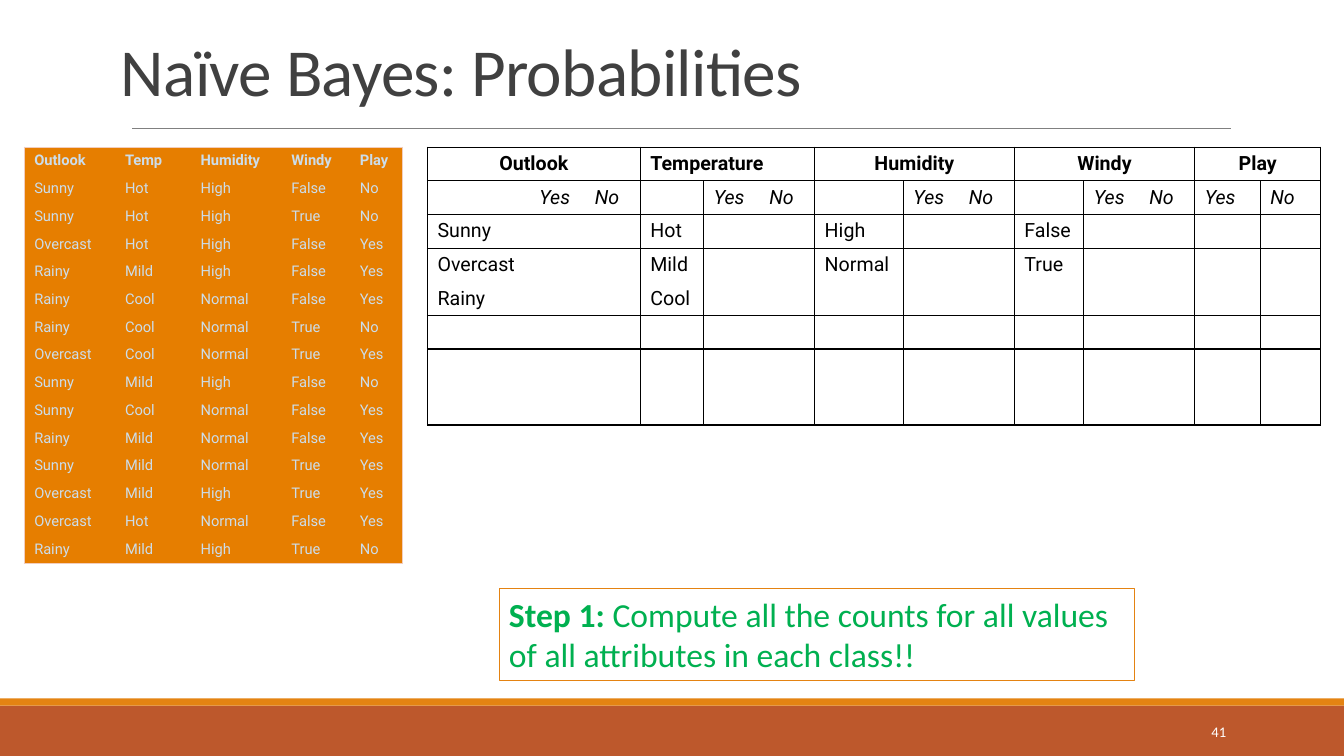
from lxml.etree import SubElement
from pptx import Presentation
from pptx.dml.color import RGBColor
from pptx.enum.shapes import MSO_CONNECTOR, MSO_SHAPE
from pptx.enum.text import MSO_ANCHOR, PP_ALIGN
from pptx.oxml.ns import qn
from pptx.util import Inches, Pt

WIDTH, HEIGHT = 13.33, 7.5
COLORS = {
    "footer": "BD582C", "accent": "E48312", "rule": "808080",
    "title": "404040", "white": "FFFFFF", "black": "000000",
    "data_fill": "E67E00", "data_text": "CCDDEA", "data_edge": "F2CDBD",
    "step": "00B050",
}
NO_STYLE = "{2D5ABB26-0587-4C30-8999-92F81FD0307C}"

WEATHER = """Outlook Temp Humidity Windy Play
Sunny Hot High False No
Sunny Hot High True No
Overcast Hot High False Yes
Rainy Mild High False Yes
Rainy Cool Normal False Yes
Rainy Cool Normal True No
Overcast Cool Normal True Yes
Sunny Mild High False No
Sunny Cool Normal False Yes
Rainy Mild Normal False Yes
Sunny Mild Normal True Yes
Overcast Mild High True Yes
Overcast Hot Normal False Yes
Rainy Mild High True No"""
WEATHER_COLUMNS = [0.9, 0.75, 0.9, 0.68, 0.52]

# Heading, column widths, attribute values
COUNT_GROUPS = [
    ("Outlook", [1.01, 0.55, 0.55], ["Sunny", "Overcast", "Rainy"]),
    ("Temperature", [0.63, 0.55, 0.55], ["Hot", "Mild", "Cool"]),
    ("Humidity", [0.88, 0.55, 0.55], ["High", "Normal"]),
    ("Windy", [0.69, 0.55, 0.55], ["False", "True"]),
    ("Play", [0.65, 0.6], []),
]
COUNT_ROWS = [0.33] * 7 + [0.42]
COUNT_BAND_TOPS, COUNT_BAND_BOTTOMS = (0, 1, 2, 5), (0, 1, 4, 7)


def color(name):
    return RGBColor.from_string(COLORS[name])


def add_text(paragraph, text, *, size, ink, font="Calibri", bold=False,
             italic=False, align=PP_ALIGN.LEFT):
    paragraph.alignment = align
    run = paragraph.add_run()
    run.text = text
    run.font.size = Pt(size)
    run.font.name = font
    run.font.bold = bold
    run.font.italic = italic
    run.font.color.rgb = color(ink)
    return run


def add_rectangle(slide, left, top, width, height, fill=None, line=None):
    shape = slide.shapes.add_shape(
        MSO_SHAPE.RECTANGLE, *map(Inches, (left, top, width, height)))
    shape.shadow.inherit = False
    if fill:
        shape.fill.solid()
        shape.fill.fore_color.rgb = color(fill)
    else:
        shape.fill.background()
    if line:
        shape.line.color.rgb = color(line)
        shape.line.width = Pt(0.75)
    else:
        shape.line.fill.background()
    return shape


def add_frame(slide):
    """Footer bands, title rule and slide number."""
    add_rectangle(slide, 0, HEIGHT - 0.5, WIDTH, 0.5, "footer")
    add_rectangle(slide, 0, HEIGHT - 0.57, WIDTH, 0.07, "accent")
    rule = slide.shapes.add_connector(
        MSO_CONNECTOR.STRAIGHT, *map(Inches, (1.31, 1.27, 12.21, 1.27)))
    rule.line.color.rgb = color("rule")
    rule.line.width = Pt(0.5)
    SubElement(rule._element.spPr, qn("a:effectLst"))
    number = slide.shapes.add_textbox(*map(Inches, (10.83, 7.06, 1.43, 0.4)))
    number.text_frame.word_wrap = True
    number.text_frame.vertical_anchor = MSO_ANCHOR.MIDDLE
    add_text(number.text_frame.paragraphs[0], "41", size=10.5, ink="white",
             align=PP_ALIGN.RIGHT)


def format_title(slide, text):
    title = slide.shapes.title
    title.left, title.top, title.width, title.height = map(
        Inches, (1.1, 0.06, 11, 1.08))
    title.text_frame.vertical_anchor = MSO_ANCHOR.BOTTOM
    paragraph = title.text_frame.paragraphs[0]
    paragraph.line_spacing = 0.85
    run = add_text(paragraph, text, size=48, ink="title")
    run.font._element.set("spc", "-50")


def add_plain_table(slide, left, top, columns, rows):
    frame = slide.shapes.add_table(
        len(rows), len(columns),
        *map(Inches, (left, top, sum(columns), sum(rows))))
    table = frame.table
    table.first_row = table.horz_banding = False
    table._tbl.tblPr.find(qn("a:tableStyleId")).text = NO_STYLE
    for column, width in zip(table.columns, columns):
        column.width = Inches(width)
    for row, height in zip(table.rows, rows):
        row.height = Inches(height)
    return table


def set_borders(cell, ink, left=False, right=False, top=False, bottom=False):
    properties = cell._tc.get_or_add_tcPr()
    for side, shown in zip("LRTB", (left, right, top, bottom)):
        if shown:
            line = SubElement(properties, qn(f"a:ln{side}"), w=str(Pt(1)))
            fill = SubElement(line, qn("a:solidFill"))
            SubElement(fill, qn("a:srgbClr"), val=COLORS[ink])


def set_empty_size(cell, size):
    """Keep an empty cell from stretching its row."""
    paragraph = cell.text_frame.paragraphs[0]
    SubElement(paragraph._p, qn("a:endParaRPr"), sz=str(size * 100))


def add_weather_table(slide):
    records = [line.split() for line in WEATHER.splitlines()]
    last_row, last_column = len(records) - 1, len(WEATHER_COLUMNS) - 1
    table = add_plain_table(slide, 0.24, 1.46, WEATHER_COLUMNS,
                            [4.05 / len(records)] * len(records))
    for i, record in enumerate(records):
        for j, value in enumerate(record):
            cell = table.cell(i, j)
            set_borders(cell, "data_edge", left=j == 0,
                        right=j == last_column, top=i == 0,
                        bottom=i == last_row)
            cell.fill.solid()
            cell.fill.fore_color.rgb = color("data_fill")
            add_text(cell.text_frame.paragraphs[0], value, size=10.5,
                     ink="data_text", font="Roboto", bold=i == 0)


def count_text(row, offset, width, heading, values):
    """Text of a cell, by its row and its offset within a column group."""
    if row == 0:
        return heading if offset == 0 else ""
    if row == 1:
        return {width - 2: "Yes", width - 1: "No"}.get(offset, "")
    return dict(enumerate(values, 2)).get(row, "") if offset == 0 else ""


def add_count_table(slide):
    columns = [width for group in COUNT_GROUPS for width in group[1]]
    table = add_plain_table(slide, 4.24, 1.46, columns, COUNT_ROWS)
    start = 0
    for heading, widths, values in COUNT_GROUPS:
        end = len(widths) - 1
        table.cell(0, start).merge(table.cell(0, start + end))
        for i in range(len(COUNT_ROWS)):
            for offset in range(len(widths)):
                cell = table.cell(i, start + offset)
                header = i == 0
                set_borders(
                    cell, "black",
                    left=offset == 0 and not (header and heading == "Windy"),
                    right=(header or offset == end)
                    and not (header and heading == "Humidity"),
                    top=i in COUNT_BAND_TOPS, bottom=i in COUNT_BAND_BOTTOMS)
                cell.fill.background()
                text = count_text(i, offset, len(widths), heading, values)
                if not text:
                    set_empty_size(cell, 14)
                    continue
                centred = header and heading != "Temperature"
                add_text(cell.text_frame.paragraphs[0], text, size=14,
                         ink="black", font="Roboto", bold=header,
                         italic=i == 1,
                         align=PP_ALIGN.CENTER if centred else PP_ALIGN.LEFT)
        start += len(widths)


def add_step(slide, label, text):
    box = add_rectangle(slide, 4.95, 5.84, 6.3, 0.91, line="accent")
    box.text_frame.word_wrap = True
    box.text_frame.vertical_anchor = MSO_ANCHOR.TOP
    paragraph = box.text_frame.paragraphs[0]
    add_text(paragraph, label, size=24, ink="step", bold=True)
    add_text(paragraph, text, size=24, ink="step")


def main():
    presentation = Presentation()
    presentation.slide_width = Inches(WIDTH)
    presentation.slide_height = Inches(HEIGHT)
    slide = presentation.slides.add_slide(presentation.slide_layouts[5])
    add_frame(slide)
    format_title(slide, "Naïve Bayes: Probabilities")
    add_weather_table(slide)
    add_count_table(slide)
    add_step(slide, "Step 1: ", "Compute all the counts for all values "
             "of all attributes in each class!!")
    presentation.save("out.pptx")


if __name__ == "__main__":
    main()
